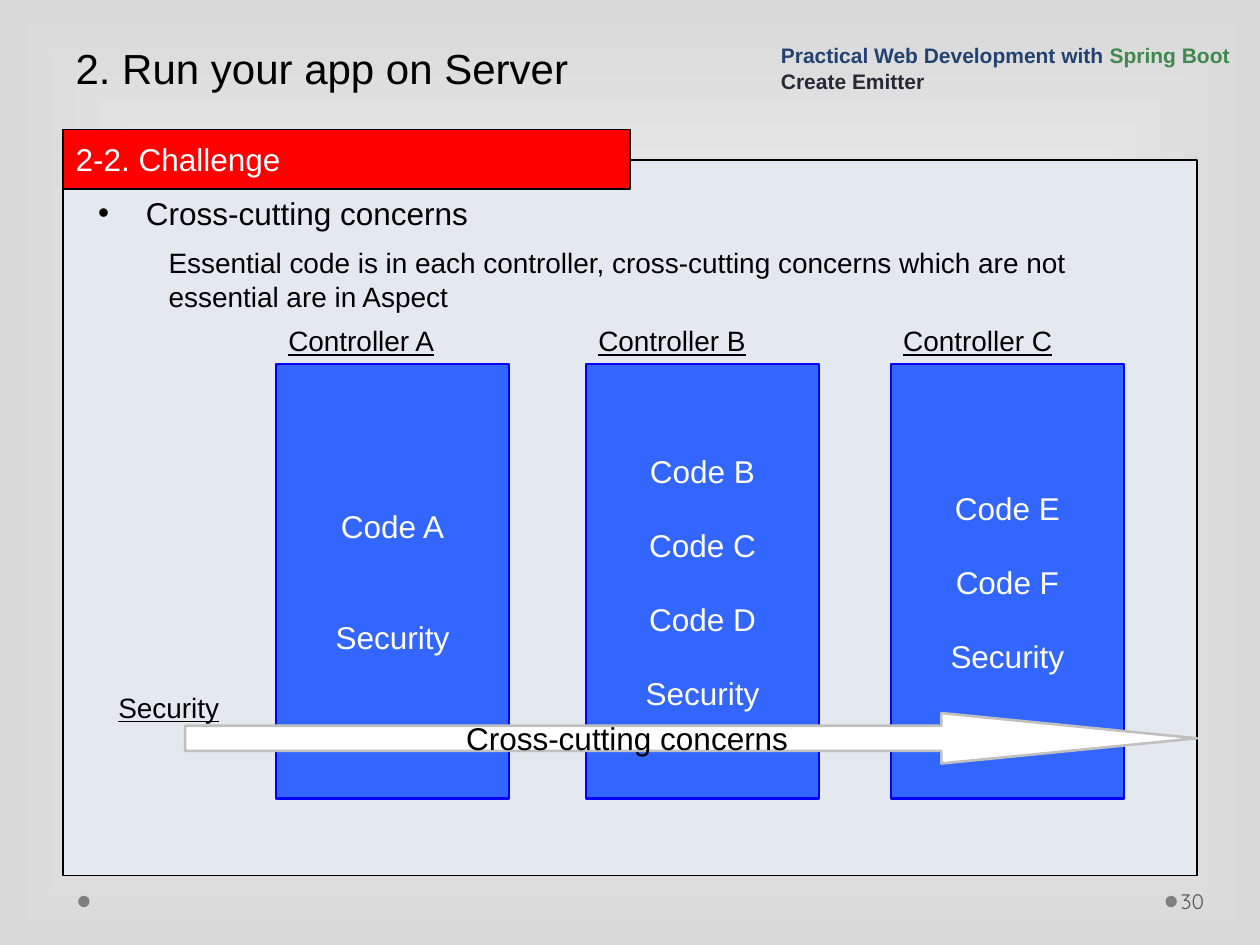
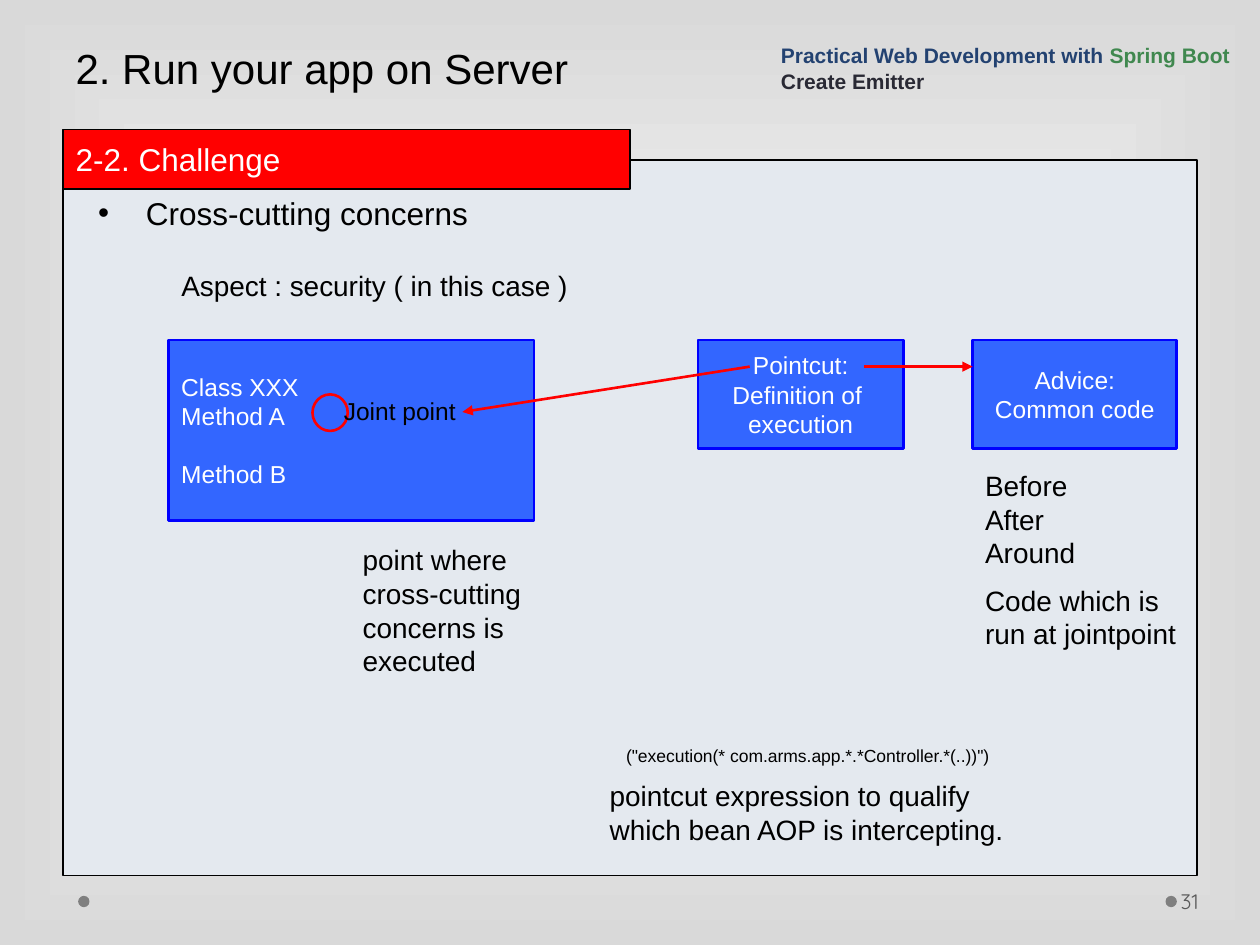
import pptx
import pptx.util
import pptx.dml.color
import pptx.enum.shapes
import pptx.enum.text
import pptx.oxml.ns
from lxml import etree

Inches = pptx.util.Inches
Pt = pptx.util.Pt
SHAPES = pptx.enum.shapes.MSO_SHAPE
ALIGN = pptx.enum.text.PP_ALIGN
ANCHOR = pptx.enum.text.MSO_ANCHOR
qn = pptx.oxml.ns.qn

BLACK, WHITE, GREY = "000000", "FFFFFF", "D9D9D9"
PANEL, BAND, RED = "E4E9EF", "FF0000", "FF0000"
BOX_FILL, BOX_LINE = "3366FF", "0000FF"
LINE_HEIGHT = 1.15


def color(value):
    return pptx.dml.color.RGBColor.from_string(value)


def add_run(paragraph, text, size, ink=BLACK, bold=None, underline=None, font="Arial"):
    run = paragraph.add_run()
    run.text = text
    run.font.name = font
    run.font.size = Pt(size)
    run.font.bold = bold
    run.font.underline = underline
    run.font.color.rgb = color(ink)


def write_lines(frame, lines, size, ink=BLACK, align=ALIGN.LEFT, gaps=(), underline=None):
    for index, text in enumerate(lines):
        paragraph = frame.add_paragraph() if index else frame.paragraphs[0]
        paragraph.alignment = align
        if index and gaps and gaps[index - 1]:
            paragraph.space_before = Pt(gaps[index - 1] * size * LINE_HEIGHT)
        add_run(paragraph, text, size, ink, underline=underline)


def paint(shape, fill, line=None, width=0.75):
    if fill:
        shape.fill.solid()
        shape.fill.fore_color.rgb = color(fill)
    else:
        shape.fill.background()
    if line:
        shape.line.color.rgb = color(line)
        shape.line.width = Pt(width)
    else:
        shape.line.fill.background()


def add_figure(slide, kind, left, top, width, height, fill, line=None, weight=0.75):
    shape = slide.shapes.add_shape(
        kind, Inches(left), Inches(top), Inches(width), Inches(height))
    shape.shadow.inherit = False
    paint(shape, fill, line, weight)
    shape.text_frame.vertical_anchor = ANCHOR.MIDDLE
    shape.text_frame.word_wrap = True
    return shape


def add_text(slide, left, top, width, height, lines=(), size=16, underline=None, wrap=True):
    shape = slide.shapes.add_textbox(
        Inches(left), Inches(top), Inches(width), Inches(height))
    shape.text_frame.word_wrap = wrap
    write_lines(shape.text_frame, lines, size, underline=underline)
    return shape.text_frame


def add_code_box(slide, left, top, width, height, lines, size, gaps=(), align=ALIGN.CENTER):
    shape = add_figure(slide, SHAPES.RECTANGLE, left, top, width, height,
                       BOX_FILL, BOX_LINE, 1.5)
    write_lines(shape.text_frame, lines, size, WHITE, align, gaps)


def add_arrow(slide, start, end):
    connector = slide.shapes.add_connector(
        pptx.enum.shapes.MSO_CONNECTOR.STRAIGHT, *map(Inches, start + end))
    connector.line.color.rgb = color(RED)
    connector.line.width = Pt(1.5)
    properties = connector.element.spPr
    etree.SubElement(properties.find(qn("a:ln")), qn("a:tailEnd"), type="triangle")
    etree.SubElement(properties, qn("a:effectLst"))


def set_bullet(paragraph, mark=None, indent=0):
    properties = paragraph._p.get_or_add_pPr()
    properties.set("marL", str(Inches(indent)))
    properties.set("indent", str(-Inches(indent)))
    if mark:
        etree.SubElement(properties, qn("a:buFont"), typeface="Arial")
        etree.SubElement(properties, qn("a:buChar"), char=mark)
    else:
        etree.SubElement(properties, qn("a:buNone"))


def set_background(master):
    fill = master.background.fill
    fill.gradient()
    for stop, value in zip(fill.gradient_stops, (WHITE, GREY)):
        stop.color.rgb = color(value)
    fill.gradient_stops[0].position = 0
    fill.gradient_stops[1].position = 1
    linear = next(master.element.iter(qn("a:lin")))
    center = etree.Element(qn("a:path"), path="rect")
    etree.SubElement(center, qn("a:fillToRect"), l="50000", t="50000", r="50000", b="50000")
    linear.getparent().replace(linear, center)


def add_footer_dots(slide):
    for left in (9.25, 0.62):
        dot = add_figure(slide, SHAPES.OVAL, left, 7.11, 0.09, 0.09, "7F7F7F")
        slide.slide_layout.shapes.element.append(dot.element)


def fill_placeholder(placeholder, left, top, width, height, text, size, ink, anchor, spacing):
    placeholder.left, placeholder.top = Inches(left), Inches(top)
    placeholder.width, placeholder.height = Inches(width), Inches(height)
    frame = placeholder.text_frame
    frame.auto_size = pptx.enum.text.MSO_AUTO_SIZE.NONE
    frame.vertical_anchor = anchor
    paragraph = frame.paragraphs[0]
    set_bullet(paragraph)
    paragraph.alignment = ALIGN.LEFT
    paragraph.line_spacing = spacing
    paragraph.space_before = Pt(0)
    add_run(paragraph, text, size, ink)


def add_course_header(slide, left, top, width, height):
    frame = add_text(slide, left, top, width, height)
    frame.vertical_anchor = ANCHOR.BOTTOM
    first, second = frame.paragraphs[0], frame.add_paragraph()
    add_run(first, "Practical Web Development with ", 12, "234271", bold=True)
    add_run(first, "Spring Boot", 12, "40884F", bold=True)
    add_run(second, "Create Emitter", 12, "292934", bold=True)


def add_page_number(slide, left, top, width, height, number):
    frame = add_text(slide, left, top, width, height)
    frame.vertical_anchor = ANCHOR.MIDDLE
    frame.margin_left = Inches(0.03)
    frame.margin_right = Inches(0.05)
    add_run(frame.paragraphs[0], str(number), 12, "595959", font="Quicksand")


def add_lesson_slide(presentation, number):
    slide = presentation.slides.add_slide(presentation.slide_layouts[1])
    panel = add_figure(slide, SHAPES.RECTANGLE, 0.5, 1.27, 9, 5.68, PANEL, BLACK)
    slide.shapes.element.insert(2, panel.element)
    fill_placeholder(slide.shapes.title, 0.5, 0, 9, 0.79, "2. Run your app on Server",
                     24, BLACK, ANCHOR.BOTTOM, Pt(58))
    band = slide.placeholders[1]
    fill_placeholder(band, 0.5, 1.03, 4.5, 0.47, "2-2. Challenge",
                     18, WHITE, ANCHOR.TOP, 1.1)
    paint(band, BAND, BLACK)
    topic = add_text(slide, 0.68, 1.49, 8.24, 0.4).paragraphs[0]
    set_bullet(topic, "•", 0.38)
    add_run(topic, "Cross-cutting concerns", 18)
    add_course_header(slide, 6.1, 0.24, 3.9, 0.55)
    add_page_number(slide, 9.34, 6.95, 0.61, 0.4, number)
    return slide


def add_controller(slide, left, top, name, lines, gap):
    label_height = 0.37
    add_text(slide, left, top, 1.4, label_height, [name], underline=True)
    gaps = [gap] * (len(lines) - 1)
    add_code_box(slide, left, top + label_height, 1.85, 3.45, lines, 18, gaps)


def add_concern_arrow(slide, left, top, width, height):
    arrow = add_figure(slide, SHAPES.RIGHT_ARROW, left, top, width, height,
                       WHITE, "C0C0C0", 1.5)
    arrow.adjustments[1] = 5.07
    write_lines(arrow.text_frame, ["Cross-cutting concerns"], 18, align=ALIGN.CENTER)
    add_text(slide, left - 0.63, top - 0.23, 1.35, 0.37, ["Security"], underline=True)


def add_controllers_slide(presentation, number):
    slide = add_lesson_slide(presentation, number)
    controllers = (
        (2.19, "Controller A", ["Code A", "Security"], 2),
        (4.65, "Controller B", ["Code B", "Code C", "Code D", "Security"], 1),
        (7.07, "Controller C", ["Code E", "Code F", "Security"], 1),
    )
    for left, name, lines, gap in controllers:
        add_controller(slide, left, 2.52, name, lines, gap)
    add_concern_arrow(slide, 1.47, 5.66, 8.03, 0.4)
    add_text(slide, 1.24, 1.9, 7.96, 0.64,
             ["Essential code is in each controller, cross-cutting concerns "
              "which are not essential are in Aspect"])
    return slide


def add_joint_point(slide, left, top):
    add_code_box(slide, left, top, 2.9, 1.43, ["Class XXX", "Method A", "Method B"],
                 14, (0, 1), ALIGN.LEFT)
    add_figure(slide, SHAPES.OVAL, left + 1.14, top + 0.43, 0.28, 0.29, None, RED, 1.5)
    add_text(slide, left + 1.29, top + 0.39, 1.09, 0.34, ["Joint point"], 14, wrap=False)
    add_text(slide, left + 1.44, top + 1.56, 1.78, 1.17,
             ["point where cross-cutting concerns is executed"])


def add_pointcut(slide, left, top):
    add_code_box(slide, left, top, 1.63, 0.86,
                 ["Pointcut:", "Definition of ", "execution"], 14)
    add_text(slide, left - 0.67, top + 3.16, 3.12, 0.27,
             ['("execution(* com.arms.app.*.*Controller.*(..))")'], 10)
    add_text(slide, left - 0.8, top + 3.43, 3.61, 0.64,
             ["pointcut expression to qualify which bean AOP is intercepting."])


def add_advice(slide, left, top):
    add_code_box(slide, left, top, 1.62, 0.86, ["Advice:", "Common code"], 14)
    add_text(slide, left, top + 0.97, 0.95, 0.9, ["Before", "After", "Around"])
    add_text(slide, left, top + 1.88, 1.78, 0.64, ["Code which is run at jointpoint"])


def add_aspect_slide(presentation, number):
    slide = add_lesson_slide(presentation, number)
    add_text(slide, 1.34, 2.08, 3.79, 0.37, ["Aspect : security ( in this case )"])
    row_top = 2.7
    add_joint_point(slide, 1.34, row_top)
    add_pointcut(slide, 5.54, row_top)
    add_advice(slide, 7.72, row_top)
    add_arrow(slide, (5.95, row_top + 0.21), (3.67, row_top + 0.57))
    add_arrow(slide, (6.86, row_top + 0.21), (7.72, row_top + 0.21))


def main():
    presentation = pptx.Presentation()
    presentation.slide_width = Inches(10)
    presentation.slide_height = Inches(7.5)
    set_background(presentation.slide_master)
    first_slide = add_controllers_slide(presentation, 30)
    add_footer_dots(first_slide)
    add_aspect_slide(presentation, 31)
    presentation.save("out.pptx")


if __name__ == "__main__":
    main()
